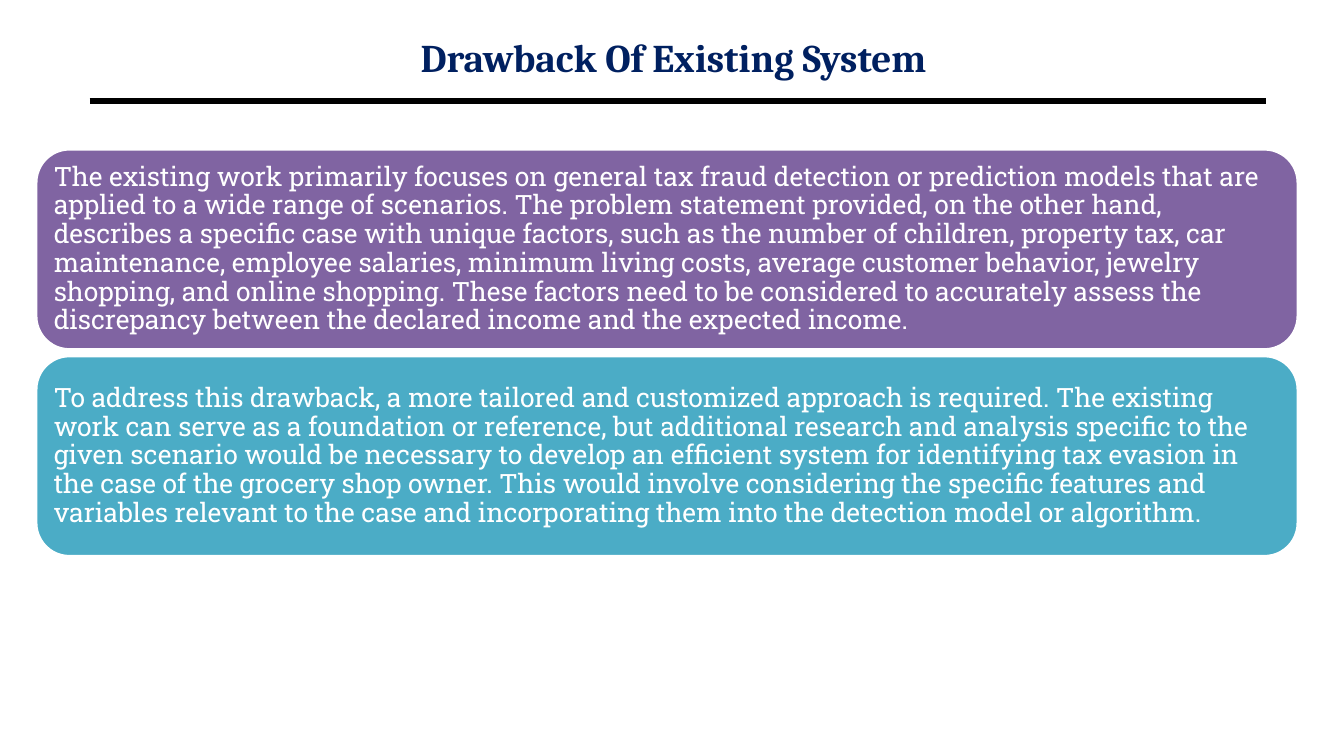
import pptx
import pptx.util
import pptx.dml.color
import pptx.enum.shapes
import pptx.enum.text
import pptx.oxml.ns
import lxml.etree

Cm = pptx.util.Cm
Pt = pptx.util.Pt
RGBColor = pptx.dml.color.RGBColor

NAVY = RGBColor(0x00, 0x20, 0x60)
PURPLE = RGBColor(0x80, 0x64, 0xA2)
TEAL = RGBColor(0x4B, 0xAC, 0xC6)
WHITE = RGBColor(0xFF, 0xFF, 0xFF)
BLACK = RGBColor(0x00, 0x00, 0x00)

MARGIN, RULE_WIDTH = 2.26, 29.64
PANEL_TOP, PANEL_PITCH = 3.76, 5.21

PANELS = [
    (PURPLE,
     "The existing work primarily focuses on general tax fraud detection or "
     "prediction models that are applied to a wide range of scenarios. The "
     "problem statement provided, on the other hand, describes a specific case "
     "with unique factors, such as the number of children, property tax, car "
     "maintenance, employee salaries, minimum living costs, average customer "
     "behavior, jewelry shopping, and online shopping. These factors need to be "
     "considered to accurately assess the discrepancy between the declared "
     "income and the expected income."),
    (TEAL,
     "To address this drawback, a more tailored and customized approach is "
     "required. The existing work can serve as a foundation or reference, but "
     "additional research and analysis specific to the given scenario would be "
     "necessary to develop an efficient system for identifying tax evasion in "
     "the case of the grocery shop owner. This would involve considering the "
     "specific features and variables relevant to the case and incorporating "
     "them into the detection model or algorithm."),
]


def add_span(para, text, font_name, size, color, bold=False):
    span = para.add_run()
    span.text = text
    span.font.name = font_name
    span.font.size = Pt(size)
    span.font.color.rgb = color
    span.font.bold = bold


def set_frame(frame, inset):
    frame.word_wrap = True
    frame.auto_size = pptx.enum.text.MSO_AUTO_SIZE.NONE
    frame.vertical_anchor = pptx.enum.text.MSO_ANCHOR.MIDDLE
    frame.margin_left = frame.margin_right = Cm(inset)
    frame.margin_top = frame.margin_bottom = Cm(inset)


def add_title(page, text):
    title = page.shapes.title
    title.left, title.top = Cm(MARGIN), Cm(0.76)
    title.width, title.height = Cm(RULE_WIDTH), Cm(1.35)
    set_frame(title.text_frame, 0)
    para = title.text_frame.paragraphs[0]
    para.alignment = pptx.enum.text.PP_ALIGN.CENTER
    add_span(para, text, "Cambria", 28, NAVY, bold=True)


def add_rule(page):
    rule = page.shapes.add_connector(
        pptx.enum.shapes.MSO_CONNECTOR.STRAIGHT,
        Cm(MARGIN), Cm(2.54), Cm(MARGIN + RULE_WIDTH), Cm(2.54))
    rule.line.color.rgb = BLACK
    rule.line.width = Pt(4.5)
    properties = rule._element.spPr
    lxml.etree.SubElement(properties, pptx.oxml.ns.qn("a:effectLst"))


def add_panel(page, top, color, text):
    panel = page.shapes.add_shape(
        pptx.enum.shapes.MSO_SHAPE.ROUNDED_RECTANGLE,
        Cm(0.91), Cm(top), Cm(31.8), Cm(5.05))
    panel.shadow.inherit = False
    panel.fill.solid()
    panel.fill.fore_color.rgb = color
    panel.line.color.rgb = WHITE
    panel.line.width = Pt(2)
    set_frame(panel.text_frame, 0.2)
    para = panel.text_frame.paragraphs[0]
    para.alignment = pptx.enum.text.PP_ALIGN.LEFT
    para.line_spacing = 0.9
    add_span(para, text, "Roboto Slab", 19, WHITE)


def main():
    deck = pptx.Presentation()
    deck.slide_width, deck.slide_height = Cm(33.87), Cm(19.05)
    page = deck.slides.add_slide(deck.slide_layouts.get_by_name("Title Only"))

    # Heading with the rule below it
    add_rule(page)
    add_title(page, "Drawback Of Existing System ")

    # Stacked text panels
    for index, (color, text) in enumerate(PANELS):
        add_panel(page, PANEL_TOP + index * PANEL_PITCH, color, text)

    deck.save("out.pptx")


if __name__ == "__main__":
    main()
